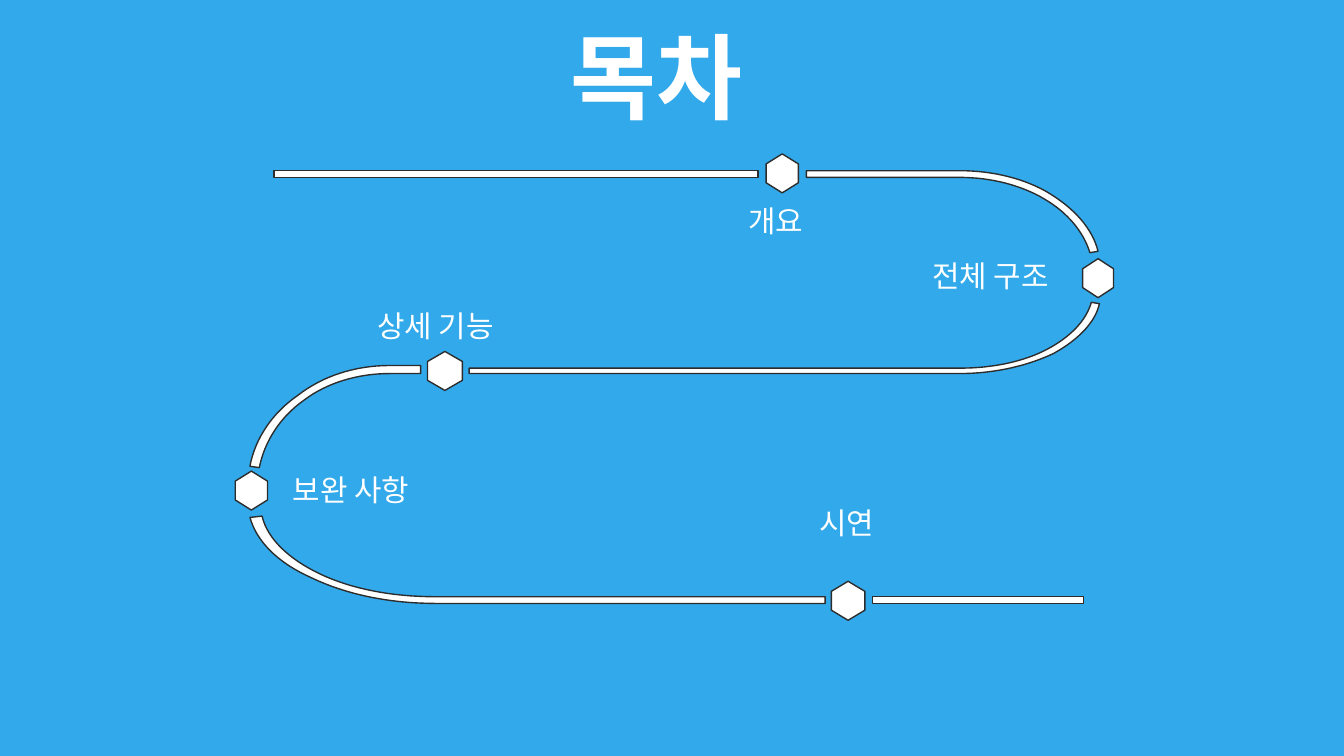
from dataclasses import dataclass
from typing import NamedTuple

from pptx import Presentation
from pptx.dml.color import RGBColor
from pptx.enum.shapes import MSO_SHAPE as Preset
from pptx.enum.text import MSO_ANCHOR as Anchor
from pptx.util import Inches, Pt


@dataclass(frozen=True)
class Theme:
    background: RGBColor = RGBColor(0x31, 0xA9, 0xEA)
    white: RGBColor = RGBColor(0xFF, 0xFF, 0xFF)
    outline: RGBColor = RGBColor(0x2C, 0x2C, 0x2C)
    font: str = "Noto Sans CJK KR"
    title_size: int = 50
    label_size: int = 16
    line_width: float = 0.75


class Label(NamedTuple):
    text: str
    left: float
    top: float
    width: float


class Stop(NamedTuple):
    """A hexagon on the road, by its centre and visible width."""
    x: float
    y: float
    width: float


class Straight(NamedTuple):
    left: float
    top: float
    width: float


THEME = Theme()
SLIDE_WIDTH = 10
SLIDE_HEIGHT = SLIDE_WIDTH * 9 / 16
ROAD_HEIGHT = 0.05
STOP_HEIGHT = 0.29
STOP_INSET = 0.075
LABEL_HEIGHT = 0.37
CURVE_STEPS = 16

LABELS = [
    Label("개요", 5.47, 1.46, 0.8),
    Label("전체 구조", 6.84, 1.87, 1.22),
    Label("상세 기능", 2.71, 2.24, 1.29),
    Label("보완 사항", 2.08, 3.46, 1.24),
    Label("시연", 6, 3.71, 0.8),
]
STOPS = [
    Stop(5.82, 1.29, 0.24),
    Stop(8.17, 2.07, 0.23),
    Stop(3.31, 2.76, 0.26),
    Stop(1.87, 3.65, 0.24),
    Stop(6.31, 4.47, 0.25),
]
STRAIGHTS = [Straight(2.04, 1.27, 3.6), Straight(6.49, 4.44, 1.57)]

# Each step holds x, y of a line end, or two control points and a curve end.
BENDS = [
    [(1.95, 3.84), (1.86, 3.85),
     (1.91, 4.03, 2.07, 4.19, 2.32, 4.3), (2.57, 4.42, 2.89, 4.49, 3.24, 4.49),
     (6.14, 4.49), (6.14, 4.44), (3.24, 4.44),
     (2.91, 4.44, 2.61, 4.38, 2.38, 4.27), (2.15, 4.16, 1.99, 4.01, 1.95, 3.84)],
    [(2.9, 2.72),
     (2.64, 2.72, 2.4, 2.8, 2.22, 2.94), (2.03, 3.07, 1.9, 3.26, 1.86, 3.47),
     (1.93, 3.48),
     (1.97, 3.28, 2.09, 3.1, 2.26, 2.98), (2.43, 2.85, 2.66, 2.78, 2.9, 2.78),
     (3.13, 2.78), (3.13, 2.72)],
    [(8.12, 2.25),
     (8.08, 2.39, 7.96, 2.51, 7.79, 2.6), (7.62, 2.69, 7.39, 2.74, 7.14, 2.74),
     (3.49, 2.74), (3.49, 2.78), (7.14, 2.78),
     (7.41, 2.78, 7.65, 2.72, 7.84, 2.63), (8.02, 2.53, 8.15, 2.4, 8.18, 2.26)],
    [(6, 1.27), (6, 1.32), (7.14, 1.32),
     (7.38, 1.32, 7.6, 1.38, 7.77, 1.48), (7.94, 1.58, 8.06, 1.72, 8.11, 1.88),
     (8.17, 1.87),
     (8.13, 1.7, 7.99, 1.55, 7.81, 1.44), (7.63, 1.33, 7.39, 1.27, 7.14, 1.27)],
]


def flatten(steps: list[tuple]) -> list[tuple[float, float]]:
    """Turn lines and cubic curves into a chain of points."""
    points = [steps[0]]
    for step in steps[1:]:
        if len(step) == 2:
            points.append(step)
            continue
        corners = [points[-1], step[:2], step[2:4], step[4:]]
        for index in range(1, CURVE_STEPS + 1):
            t = index / CURVE_STEPS
            weights = ((1 - t) ** 3, 3 * t * (1 - t) ** 2, 3 * t * t * (1 - t), t ** 3)
            points.append(tuple(
                sum(w * corner[axis] for w, corner in zip(weights, corners))
                for axis in (0, 1)))
    return points


def paint(shape) -> None:
    shape.shadow.inherit = False
    shape.fill.solid()
    shape.fill.fore_color.rgb = THEME.white
    shape.line.color.rgb = THEME.outline
    shape.line.width = Pt(THEME.line_width)


def draw_bend(page, steps: list[tuple]) -> None:
    points = [(Inches(x), Inches(y)) for x, y in flatten(steps)]
    builder = page.shapes.build_freeform(*points[0])
    builder.add_line_segments(points[1:], close=True)
    paint(builder.convert_to_shape())


def draw_straight(page, road: Straight) -> None:
    paint(page.shapes.add_shape(
        Preset.RECTANGLE, Inches(road.left), Inches(road.top),
        Inches(road.width), Inches(ROAD_HEIGHT)))


def draw_stop(page, stop: Stop) -> None:
    hexagon = page.shapes.add_shape(
        Preset.HEXAGON,
        Inches(stop.x - STOP_HEIGHT / 2), Inches(stop.y - stop.width / 2),
        Inches(STOP_HEIGHT), Inches(stop.width))
    hexagon.adjustments[0] = STOP_INSET / stop.width
    hexagon.rotation = 90
    paint(hexagon)


def draw_text(page, label: Label, height: float, size: int, bold: bool = False):
    box = page.shapes.add_textbox(
        Inches(label.left), Inches(label.top), Inches(label.width), Inches(height))
    frame = box.text_frame
    frame.word_wrap = True
    para = frame.paragraphs[0]
    para.text = label.text
    para.font.name = THEME.font
    para.font.size = Pt(size)
    para.font.bold = bold
    para.font.color.rgb = THEME.white
    return frame


def main() -> None:
    deck = Presentation()
    deck.slide_width, deck.slide_height = Inches(SLIDE_WIDTH), Inches(SLIDE_HEIGHT)
    page = deck.slides.add_slide(deck.slide_layouts[6])
    page.background.fill.solid()
    page.background.fill.fore_color.rgb = THEME.background

    title = draw_text(page, Label("목차", 4.15, 0.3, 1.8), 0.52, THEME.title_size, bold=True)
    title.vertical_anchor = Anchor.MIDDLE
    for bend in BENDS:
        draw_bend(page, bend)
    for road in STRAIGHTS:
        draw_straight(page, road)
    for stop in STOPS:
        draw_stop(page, stop)
    for label in LABELS:
        draw_text(page, label, LABEL_HEIGHT, THEME.label_size)
    deck.save("out.pptx")


if __name__ == "__main__":
    main()
